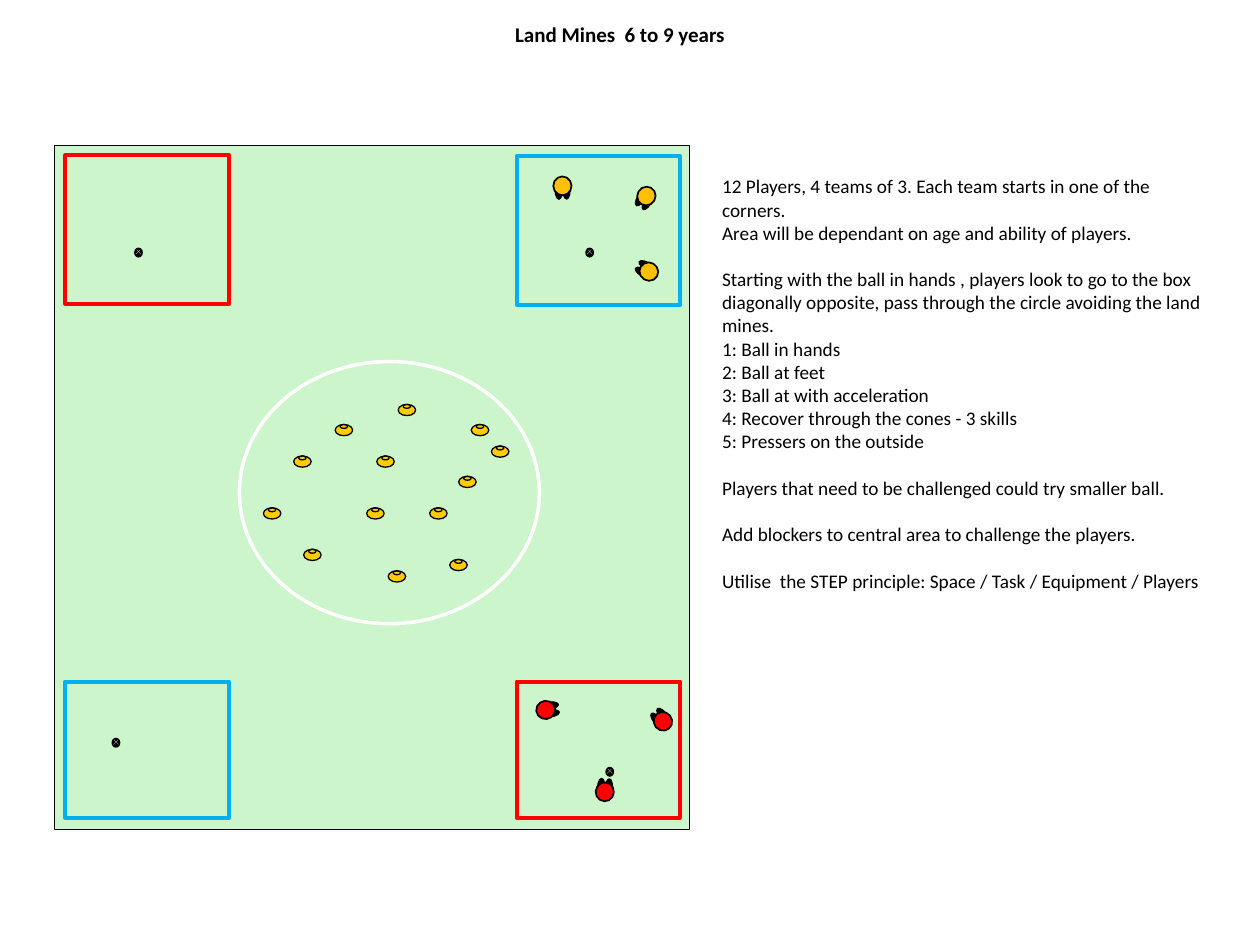
"""Builds the Land Mines training drill slide."""
import math
from dataclasses import dataclass

from lxml import etree
from pptx import Presentation
from pptx import util as u
from pptx.dml.color import RGBColor
from pptx.enum import dml, shapes, text
from pptx.oxml import ns

RECT, OVAL = shapes.MSO_SHAPE.RECTANGLE, shapes.MSO_SHAPE.OVAL


@dataclass(frozen=True)
class Theme:
    """Colours, font and type sizes."""
    black: str = "000000"
    white: str = "FFFFFF"
    grass: str = "CCF5CC"
    red: str = "FF0000"
    blue: str = "00B0F0"
    amber: str = "FFC000"
    cone: str = "FFCC00"
    font: str = "Calibri"
    title: float = 12
    body: float = 11


class Drill:
    """Holds the style and the current slide."""

    def __init__(self, slide, theme):
        """Keeps the slide and theme."""
        self.s, self.t = slide, theme

    def place(self, sp, box, inset):
        """Moves a placeholder and returns its text frame."""
        sp.left, sp.top, sp.width, sp.height = map(u.Pt, box)
        tf = sp.text_frame
        tf.word_wrap, tf.auto_size = True, text.MSO_AUTO_SIZE.NONE
        tf.vertical_anchor = text.MSO_ANCHOR.TOP
        tf.margin_left = tf.margin_right = u.Pt(inset)
        tf.margin_top = tf.margin_bottom = u.Pt(inset / 2)
        return tf

    def run(self, p, words, size, bold=False):
        """Adds a run to a paragraph."""
        r = p.add_run()
        r.text = words
        r.font.name, r.font.size, r.font.bold = self.t.font, u.Pt(size), bold
        r.font.color.rgb = RGBColor.from_string(self.t.black)

    def title(self, words, box):
        """Fills the title placeholder."""
        p = self.place(self.s.shapes.title, box, 6).paragraphs[0]
        p.alignment = text.PP_ALIGN.CENTER
        self.run(p, words, self.t.title, True)

    def body(self, blocks, box):
        """Fills the body placeholder with spaced blocks of lines."""
        tf = self.place(self.s.placeholders[1], box, 7.2)
        for i, block in enumerate(blocks):
            for j, words in enumerate(block):
                p = tf.add_paragraph() if i or j else tf.paragraphs[0]
                pPr = p._p.get_or_add_pPr()
                pPr.set("marL", "0")
                pPr.set("indent", "0")
                etree.SubElement(pPr, ns.qn("a:buNone"))
                p.space_before = u.Pt(13.4 if i and not j else 0)
                self.run(p, words, self.t.body)

    def shape(self, kind, box, fill=None, line=None, width=0.75, rot=0, parent=None):
        """Adds an outlined preset shape."""
        sp = (parent or self.s).shapes.add_shape(kind, *map(u.Pt, box))
        sp.shadow.inherit = False
        sp.rotation = rot
        if fill:
            sp.fill.solid()
            sp.fill.fore_color.rgb = RGBColor.from_string(fill)
        else:
            sp.fill.background()
        sp.line.color.rgb = RGBColor.from_string(line or self.t.black)
        sp.line.width = u.Pt(width)
        return sp

    def ball(self, x, y):
        """Adds a patterned ball."""
        fill = self.shape(OVAL, (x, y, 4.3, 5), rot=180).fill
        fill.patterned()
        fill.pattern = dml.MSO_PATTERN.SOLID_DIAMOND
        fill.fore_color.rgb = RGBColor.from_string(self.t.white)
        fill.back_color.rgb = RGBColor.from_string(self.t.black)

    def cone(self, x, y):
        """Adds a cone with its top hole."""
        g = self.s.shapes.add_group_shape()
        self.shape(OVAL, (x, y, 10, 6.4), self.t.cone, parent=g)
        self.shape(OVAL, (x + 2.9, y, 4.2, 2.2), parent=g)

    def player(self, cx, cy, rot, colour):
        """Adds a head over two feet, turned about the head."""
        g = self.s.shapes.add_group_shape()
        c, s = math.cos(math.radians(rot)), math.sin(math.radians(rot))
        for dx, dy in ((-2.2, -2.2), (2.2, -2.2)):
            x, y = cx + dx * c - dy * s, cy + dx * s + dy * c
            self.shape(OVAL, (x - 2.1, y - 5.4, 4.2, 10.8), self.t.black, rot=rot, parent=g)
        self.shape(OVAL, (cx - 5.2, cy - 5.4, 10.4, 10.8), colour, width=1, rot=rot, parent=g)


def main():
    """Builds and saves the slide."""
    prs = Presentation()
    prs.slide_width, prs.slide_height = u.Pt(720), u.Pt(540)
    t = Theme()
    d = Drill(prs.slides.add_slide(prs.slide_layouts[1]), t)

    d.title("Land Mines  6 to 9 years", (218.2, 9.4, 272.2, 28))
    d.body((
        ("12 Players, 4 teams of 3. Each team starts in one of the corners.",
         "Area will be dependant on age and ability of players."),
        ("Starting with the ball in hands , players look to go to the box "
         "diagonally opposite, pass through the circle avoiding the land mines.",
         "1: Ball in hands",
         "2: Ball at feet",
         "3: Ball at with acceleration",
         "4: Recover through the cones - 3 skills",
         "5: Pressers on the outside"),
        ("Players that need to be challenged could try smaller ball.",),
        ("Add blockers to central area to challenge the players.",),
        ("Utilise  the STEP principle: Space / Task / Equipment / Players",),
    ), (405.4, 96.2, 295.2, 392.6))

    d.shape(RECT, (31.3, 83.2, 362.9, 391), t.grass)
    for x, y, h, colour in ((37.4, 88.6, 85, t.red), (295.2, 89.3, 85, t.blue),
                            (37.4, 389.5, 77.8, t.blue), (295.2, 389.5, 77.8, t.red)):
        d.shape(RECT, (x, y, 93.6, h), line=colour, width=2.25)
    d.shape(OVAL, (136.8, 206.6, 171.4, 149.8), line=t.white, width=2)

    for x, y in ((346.3, 438.5), (64.1, 421.9), (334.8, 141.8), (77, 141.8)):
        d.ball(x, y)
    for x, y in ((262.1, 272.2), (227.5, 231.1), (167.8, 260.6), (173.5, 313.9),
                 (257, 319.7), (269.3, 242.6), (209.5, 290.2), (191.5, 242.6),
                 (221.8, 326.2), (245.5, 290.2), (215.3, 260.6), (150.5, 290.2),
                 (280.8, 254.9)):
        d.cone(x, y)
    for x, y, rot, colour in ((321.4, 106.2, 178.7, t.amber), (369.4, 112, 210, t.amber),
                              (370.8, 155.2, 300, t.amber), (378.8, 412.2, 320.8, t.red),
                              (311.8, 405.7, 83.2, t.red), (345.6, 452.5, 3.4, t.red)):
        d.player(x, y, rot, colour)
    prs.save("out.pptx")


if __name__ == "__main__":
    main()
